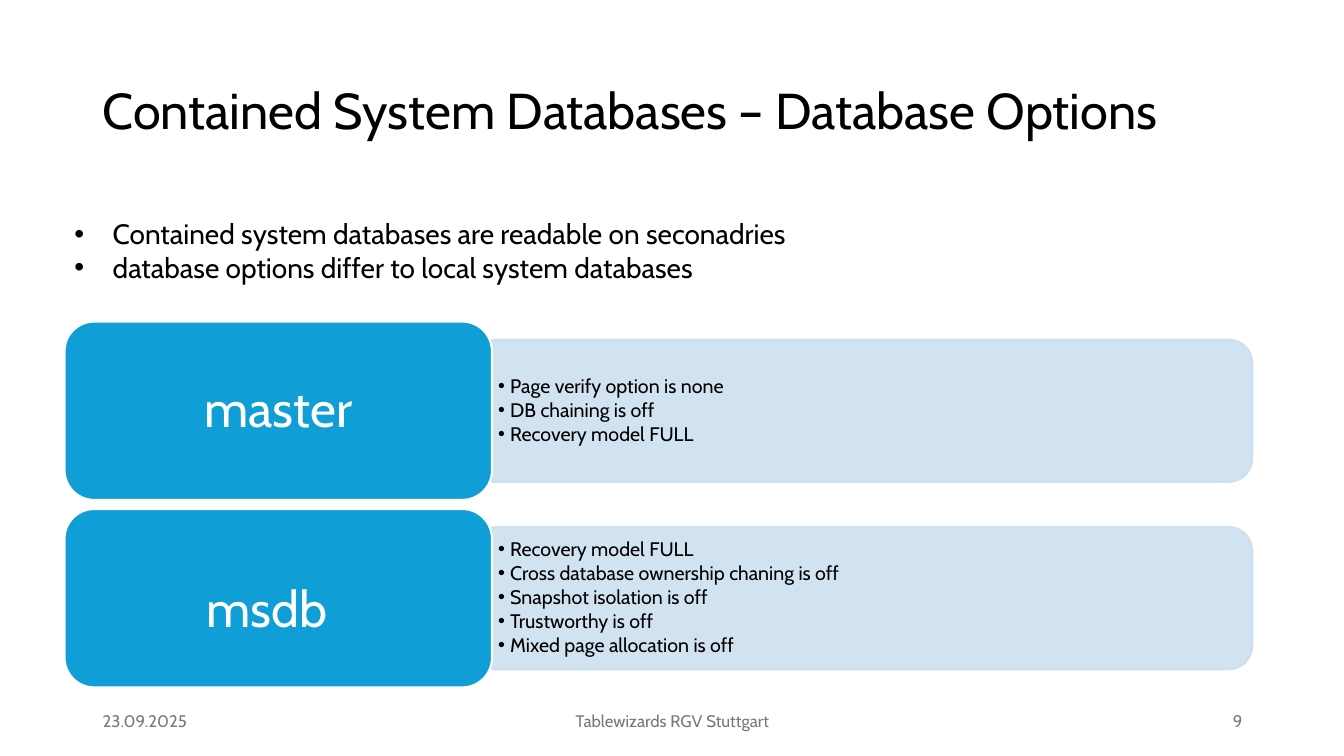
from lxml.etree import SubElement
from pptx import Presentation
from pptx.dml.color import RGBColor
from pptx.enum.shapes import MSO_SHAPE
from pptx.enum.text import MSO_ANCHOR, PP_ALIGN
from pptx.oxml.ns import qn
from pptx.util import Inches, Pt

FONT = "Cabin"
BLACK, WHITE, GRAY = "000000", "FFFFFF", "797979"
BLUE, PALE_BLUE = "0F9ED5", "CCDFEF"


def rgb(value):
    return RGBColor.from_string(value)


def write(shape, lines, size, color, align=PP_ALIGN.LEFT, anchor=MSO_ANCHOR.MIDDLE,
          indent=0, spacing=1.0, gap=0):
    """Fill a shape with one paragraph per line, bulleted if indent (inches) is set."""
    frame = shape.text_frame
    frame.word_wrap = True
    frame.vertical_anchor = anchor
    for number, line in enumerate(lines):
        para = frame.paragraphs[0] if number == 0 else frame.add_paragraph()
        para.text = line
        para.alignment = align
        para.line_spacing = spacing
        para.space_after = Pt(gap)
        if indent:
            props = para._p.get_or_add_pPr()
            props.set("marL", str(Inches(indent)))
            props.set("indent", str(-Inches(indent)))
            SubElement(props, qn("a:buFont")).set("typeface", "Arial")
            SubElement(props, qn("a:buChar")).set("char", "•")
        para.font.name = FONT
        para.font.size = Pt(size)
        para.font.color.rgb = rgb(color)


deck = Presentation()
deck.slide_width, deck.slide_height = Inches(13.33), Inches(7.5)
page = deck.slides.add_slide(deck.slide_layouts[5])

title = page.shapes.title
title.left, title.top = Inches(0.92), Inches(0.4)
title.width, title.height = Inches(11.5), Inches(1.45)
write(title, ["Contained System Databases – Database Options"], 36, BLACK, spacing=0.9)

intro = page.shapes.add_textbox(Inches(0.64), Inches(2.1), Inches(11.7), Inches(0.77))
write(intro, ["Contained system databases are readable on seconadries",
              "database options differ to local system databases"],
      20, BLACK, anchor=MSO_ANCHOR.TOP, indent=0.38)

footers = [
    (0.92, 3, "23.09.2025", PP_ALIGN.LEFT),
    (4.42, 4.5, "Tablewizards RGV Stuttgart", PP_ALIGN.CENTER),
    (9.42, 3, "9", PP_ALIGN.RIGHT),
]
for left, width, text, align in footers:
    footer = page.shapes.add_textbox(Inches(left), Inches(6.95), Inches(width), Inches(0.4))
    write(footer, [text], 12, GRAY, align)

# Name, label offset to the left and downwards, options
databases = [
    ("master", 0, 0, ["Page verify option is none", "DB chaining is off",
                      "Recovery model FULL"]),
    ("msdb", 0.11, 0.13, ["Recovery model FULL", "Cross database ownership chaning is off",
                          "Snapshot isolation is off", "Trustworthy is off",
                          "Mixed page allocation is off"]),
]
LABEL_LEFT, LABEL_WIDTH, LABEL_HEIGHT = 0.64, 4.24, 1.77
PANEL_LEFT, PANEL_WIDTH, PANEL_HEIGHT = LABEL_LEFT + LABEL_WIDTH, 7.54, 1.41
FIRST_ROW, ROW_STEP = 3.19, 1.86

for row, (name, shift_left, shift_down, options) in enumerate(databases):
    top = FIRST_ROW + row * ROW_STEP
    middle = top + LABEL_HEIGHT / 2

    # The panel stands upright and is turned so that its round corners face right
    panel = page.shapes.add_shape(
        MSO_SHAPE.ROUND_2_SAME_RECTANGLE,
        Inches(PANEL_LEFT + (PANEL_WIDTH - PANEL_HEIGHT) / 2), Inches(middle - PANEL_WIDTH / 2),
        Inches(PANEL_HEIGHT), Inches(PANEL_WIDTH))
    panel.rotation = 90
    label = page.shapes.add_shape(
        MSO_SHAPE.ROUNDED_RECTANGLE, Inches(LABEL_LEFT), Inches(top),
        Inches(LABEL_WIDTH), Inches(LABEL_HEIGHT))
    for shape, fill, line in ((panel, PALE_BLUE, PALE_BLUE), (label, BLUE, WHITE)):
        shape.shadow.inherit = False
        shape.fill.solid()
        shape.fill.fore_color.rgb = rgb(fill)
        shape.line.color.rgb = rgb(line)
        shape.line.width = Pt(1.5)
    for color in panel._element.spPr.iter(qn("a:srgbClr")):
        SubElement(color, qn("a:alpha")).set("val", "90000")

    frame = label.text_frame
    frame.margin_right = Inches(0.1 + 2 * shift_left)
    frame.margin_top = Inches(0.05 + 2 * shift_down)
    write(label, [name], 36, WHITE, PP_ALIGN.CENTER, spacing=0.9)

    details = page.shapes.add_textbox(Inches(PANEL_LEFT), Inches(middle - 0.64),
                                      Inches(7.47), Inches(1.28))
    frame = details.text_frame
    frame.margin_left = frame.margin_right = Inches(0.06)
    frame.margin_top = frame.margin_bottom = Inches(0.03)
    write(details, options, 14, BLACK, indent=0.12, spacing=0.9, gap=2)

deck.save("out.pptx")
